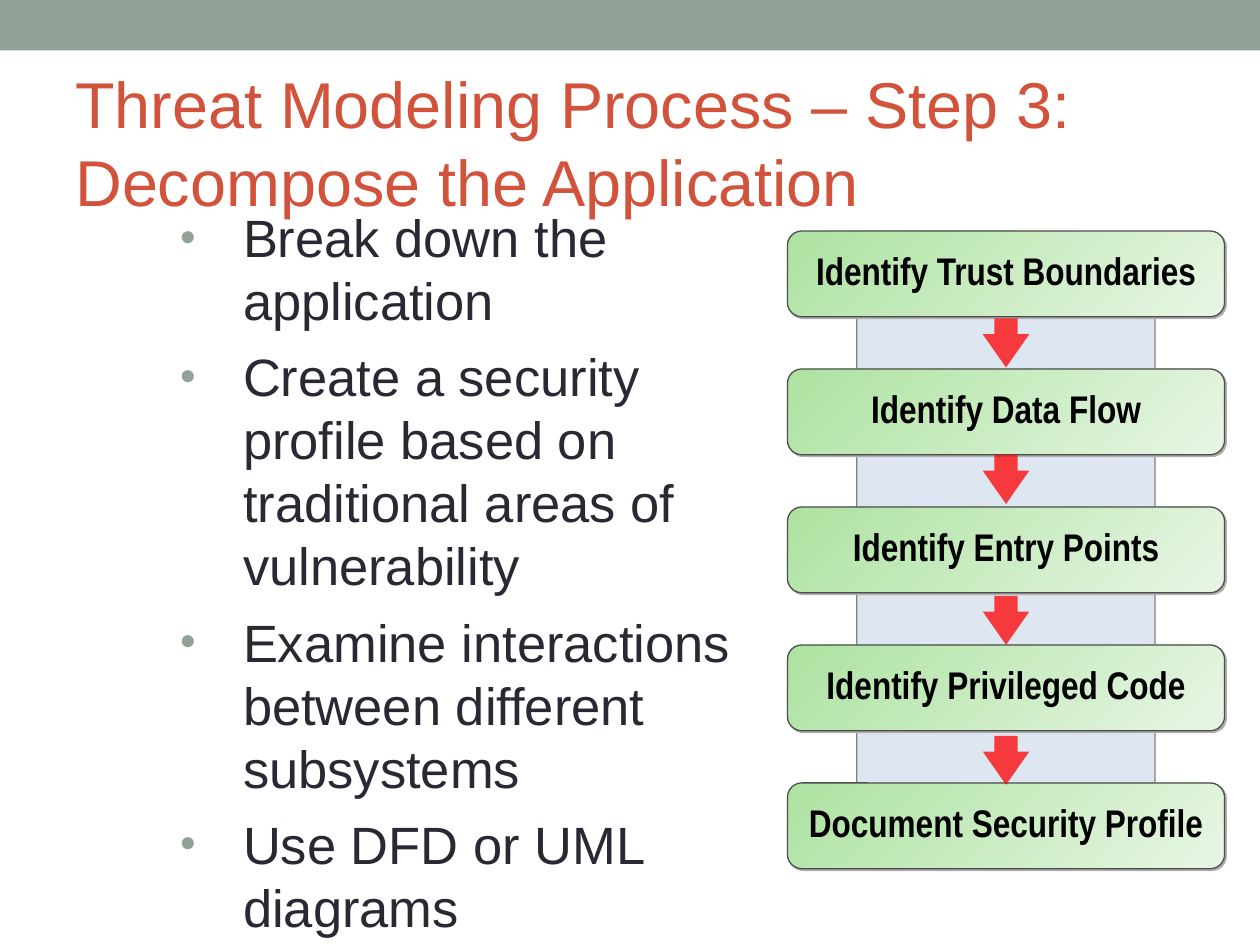
"""Builds the slide on step 3 of threat modeling: decomposing the application."""
from lxml import etree
from pptx import Presentation
from pptx.dml.color import RGBColor
from pptx.enum import shapes, text
from pptx.oxml import ns
from pptx.util import Pt

COLOURS = {
    "band": "93A299", "title": "D2533C", "body": "292934",
    "panel": "DEE7F1", "panel_line": "808080",
    "step_start": "ADE2A1", "step_end": "E8F6E4", "step_line": "4D4D4D",
    "step_text": "000000", "shadow": "AFAFAF", "arrow": "FF0000",
}
TITLE = "Threat Modeling Process – Step 3: Decompose the Application"
POINTS = [
    "Break down the application",
    "Create a security profile based on traditional areas of vulnerability",
    "Examine interactions between different subsystems",
    "Use DFD or UML diagrams",
]
STEPS = [
    "Identify Trust Boundaries", "Identify Data Flow", "Identify Entry Points",
    "Identify Privileged Code", "Document Security Profile",
]
ARROW_TOPS = [182, 260, 340.5, 420.5]
STEP_TOP, STEP_PITCH = 132, 78.85


def colour(name):
    return RGBColor.from_string(COLOURS[name])


def add_child(parent, tag, **attributes):
    return etree.SubElement(parent, ns.qn(tag), attributes)


def add_span(para, words, size, font, name, bold=False):
    span = para.add_run()
    span.text = words
    span.font.size = Pt(size)
    span.font.name = font
    span.font.bold = bold
    span.font.color.rgb = colour(name)


def add_text_box(page, left, top, width, height):
    box = page.shapes.add_textbox(Pt(left), Pt(top), Pt(width), Pt(height))
    box.text_frame.word_wrap = True
    return box.text_frame


def add_shape(page, kind, frame, fill=None, line=None, adjustments=()):
    shape = page.shapes.add_shape(kind, *(Pt(length) for length in frame))
    shape.shadow.inherit = False
    for index, value in enumerate(adjustments):
        shape.adjustments[index] = value
    if fill:
        shape.fill.solid()
        shape.fill.fore_color.rgb = colour(fill)
    if line:
        shape.line.color.rgb = colour(line)
        shape.line.width = Pt(0.75)
    else:
        shape.line.fill.background()
    return shape


def add_title(page):
    frame = add_text_box(page, 36, 41.8, 648, 77.8)
    frame.vertical_anchor = text.MSO_ANCHOR.MIDDLE
    add_span(frame.paragraphs[0], TITLE, 37, "Arial", "title")


def add_bullets(page):
    frame = add_text_box(page, 95.8, 113.8, 352, 426.2)
    for index, words in enumerate(POINTS):
        para = frame.add_paragraph() if index else frame.paragraphs[0]
        properties = para._p.get_or_add_pPr()
        properties.set("marL", str(Pt(36)))
        properties.set("indent", str(-Pt(36)))
        bullet_colour = add_child(properties, "a:buClr")
        add_child(bullet_colour, "a:srgbClr", val=COLOURS["band"])
        add_child(properties, "a:buSzPct", val="85000")
        add_child(properties, "a:buFont", typeface="Arial")
        add_child(properties, "a:buChar", char="•")
        if index:
            para.space_before = Pt(7.5)
        add_span(para, words, 30, "Arial", "body")


def add_step(page, words, top):
    step = add_shape(page, shapes.MSO_SHAPE.ROUNDED_RECTANGLE,
                     (450, top, 249.8, 49), line="step_line", adjustments=[0.167])
    step.fill.gradient()
    step.fill.gradient_angle = 315
    for stop, name in zip(step.fill.gradient_stops, ("step_start", "step_end")):
        stop.color.rgb = colour(name)
    effects = step._element.spPr.find(ns.qn("a:effectLst"))
    shadow = add_child(effects, "a:outerShdw", dist=str(Pt(1.4)),
                       dir="2700000", algn="ctr", rotWithShape="0")
    add_child(shadow, "a:srgbClr", val=COLOURS["shadow"])
    frame = step.text_frame
    frame.word_wrap = True
    frame.vertical_anchor = text.MSO_ANCHOR.MIDDLE
    para = frame.paragraphs[0]
    para.alignment = text.PP_ALIGN.CENTER
    para.line_spacing = 0.85
    add_span(para, words, 22, "Arial Narrow", "step_text", bold=True)


def add_arrow(page, top):
    arrow = add_shape(page, shapes.MSO_SHAPE.DOWN_ARROW, (561.6, top, 26.6, 28),
                      fill="arrow", adjustments=[0.495, 0.715])
    tint = arrow._element.spPr.find(ns.qn("a:solidFill"))[0]
    add_child(tint, "a:alpha", val="75000")


def main():
    deck = Presentation()
    deck.slide_width, deck.slide_height = Pt(720), Pt(540)
    page = deck.slides.add_slide(deck.slide_layouts[6])
    add_shape(page, shapes.MSO_SHAPE.RECTANGLE, (0, 0, 720, 28.8), fill="band")
    add_bullets(page)
    add_title(page)
    add_shape(page, shapes.MSO_SHAPE.ROUNDED_RECTANGLE, (489.6, 144, 170.4, 332),
              fill="panel", line="panel_line", adjustments=[0.042])
    for index, words in enumerate(STEPS):
        add_step(page, words, STEP_TOP + index * STEP_PITCH)
    for top in ARROW_TOPS:
        add_arrow(page, top)
    deck.save("out.pptx")


if __name__ == "__main__":
    main()
